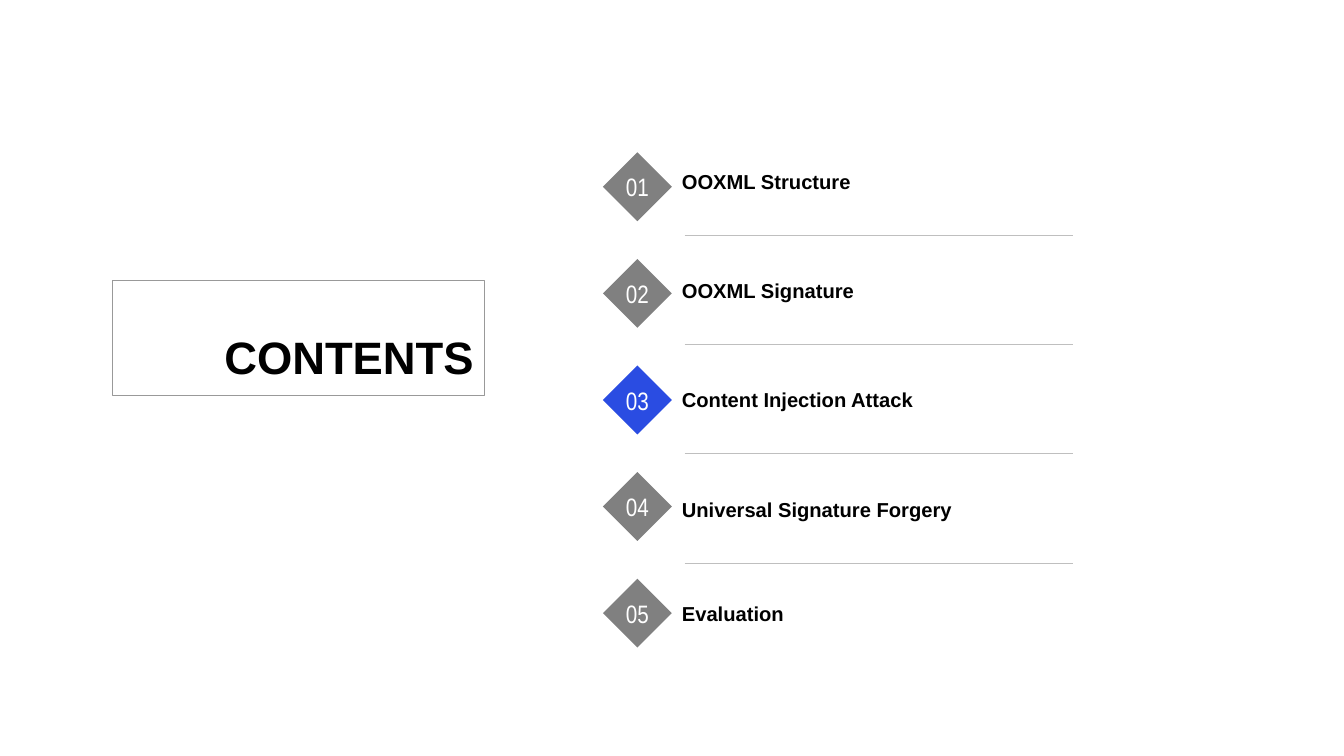
from lxml import etree
from pptx import Presentation
from pptx.dml.color import RGBColor
from pptx.enum.shapes import MSO_CONNECTOR, MSO_SHAPE
from pptx.enum.text import MSO_ANCHOR, MSO_AUTO_SIZE, PP_ALIGN
from pptx.oxml.ns import qn
from pptx.util import Pt

STRAIGHT = MSO_CONNECTOR.STRAIGHT
DIAMOND = MSO_SHAPE.DIAMOND
TOP, MIDDLE, BOTTOM = MSO_ANCHOR.TOP, MSO_ANCHOR.MIDDLE, MSO_ANCHOR.BOTTOM
LEFT, CENTER, RIGHT = PP_ALIGN.LEFT, PP_ALIGN.CENTER, PP_ALIGN.RIGHT
NO_AUTOFIT = MSO_AUTO_SIZE.NONE

TITLE = "CONTENTS"
SECTIONS = [
    ("OOXML Structure", 116.6),
    ("OOXML Signature", 194.6),
    ("Content Injection Attack", 272.5),
    ("Universal Signature Forgery", 350.6),
    ("Evaluation", 425.5),
]
CURRENT = 3

BLACK, WHITE, GREY, BLUE = "000000", "FFFFFF", "808080", "2A4CE2"
FRAME_GREY, RULE_GREY = "999999", "BFBFBF"
TITLE_FONT = {"name": "Arial", "size": Pt(32.4), "bold": True}
LABEL_FONT = {"name": "Arial", "size": Pt(14.4), "bold": True}
NUMBER_FONT = {"name": "Arial Narrow", "size": Pt(18), "bold": False}

DIAMOND_LEFT, DIAMOND_TOP, DIAMOND_SIZE, DIAMOND_PITCH = 430.7, 108.8, 49.2, 76.15
LABEL_LEFT, LABEL_WIDTH, LABEL_HEIGHT = 480, 300, 25.2
RULE_LEFT, RULE_RIGHT, RULE_TOP, RULE_PITCH = 489, 766.6, 168, 78


def color(hex_value):
    return RGBColor.from_string(hex_value)


def write(shape, text, font, font_color, alignment, anchor, margins, wrap=True):
    frame = shape.text_frame
    frame.text = text
    frame.auto_size = NO_AUTOFIT
    frame.word_wrap = wrap
    frame.vertical_anchor = anchor
    for side, margin in zip(("left", "top", "right", "bottom"), margins):
        setattr(frame, f"margin_{side}", Pt(margin))
    paragraph = frame.paragraphs[0]
    paragraph.alignment = alignment
    for attribute, value in font.items():
        setattr(paragraph.font, attribute, value)
    paragraph.font.color.rgb = color(font_color)


def add_title(slide):
    title = slide.shapes.title
    title.left, title.top, title.width, title.height = Pt(80), Pt(200.4), Pt(265.6), Pt(82)
    title.line.color.rgb = color(FRAME_GREY)
    title.line.width = Pt(0.25)
    write(title, TITLE, TITLE_FONT, BLACK, RIGHT, TOP, (7.2, 34.4, 7.2, 3.6))


def add_section(slide, index, name, label_top):
    number = index + 1
    diamond = slide.shapes.add_shape(
        DIAMOND, Pt(DIAMOND_LEFT), Pt(DIAMOND_TOP + index * DIAMOND_PITCH),
        Pt(DIAMOND_SIZE), Pt(DIAMOND_SIZE))
    diamond.shadow.inherit = False
    diamond.fill.solid()
    diamond.fill.fore_color.rgb = color(BLUE if number == CURRENT else GREY)
    diamond.line.fill.background()
    write(diamond, f"{number:02d}", NUMBER_FONT, WHITE, CENTER, MIDDLE, (0, 0, 0, 0), False)

    label = slide.shapes.add_textbox(
        Pt(LABEL_LEFT), Pt(label_top), Pt(LABEL_WIDTH), Pt(LABEL_HEIGHT))
    write(label, name, LABEL_FONT, BLACK, LEFT, BOTTOM, (7.2, 3.6, 7.2, 3.6))


def add_rule(slide, index):
    y = Pt(RULE_TOP + index * RULE_PITCH)
    rule = slide.shapes.add_connector(STRAIGHT, Pt(RULE_LEFT), y, Pt(RULE_RIGHT), y)
    rule.line.color.rgb = color(RULE_GREY)
    rule.line.width = Pt(0.25)
    etree.SubElement(rule._element.spPr, qn("a:effectLst"))


def main():
    presentation = Presentation()
    presentation.slide_width, presentation.slide_height = Pt(960), Pt(540)
    slide = presentation.slides.add_slide(presentation.slide_layouts[5])
    add_title(slide)
    for index, (name, label_top) in enumerate(SECTIONS):
        add_section(slide, index, name, label_top)
    for index in range(len(SECTIONS) - 1):
        add_rule(slide, index)
    presentation.save("out.pptx")


if __name__ == "__main__":
    main()
